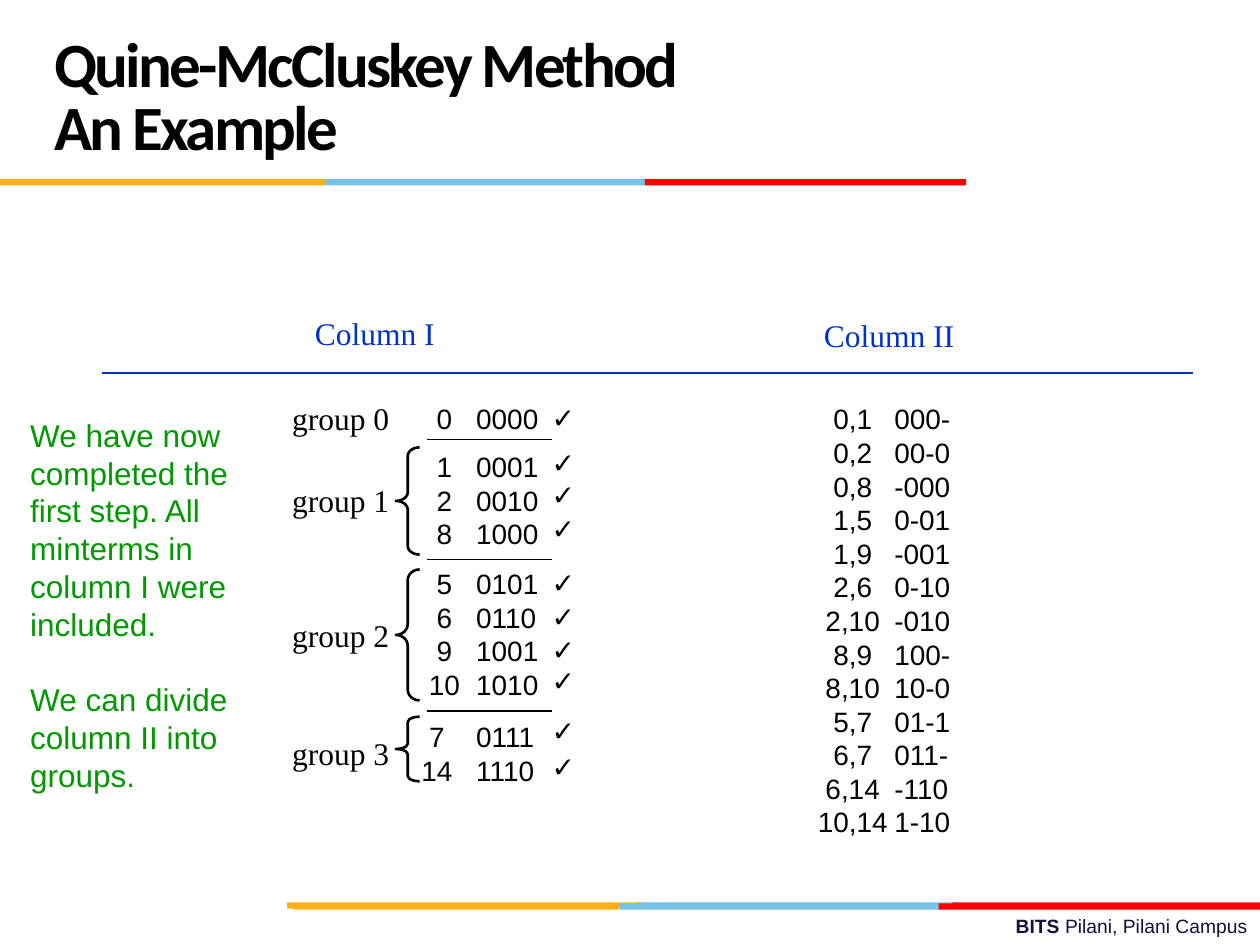
"""Build the Quine-McCluskey example slide with its minterm columns."""
from lxml.etree import SubElement as Sub
from pptx import Presentation
from pptx.dml.color import RGBColor as RGB
from pptx.enum.shapes import MSO_CONNECTOR as Conn, MSO_SHAPE as Shape
from pptx.enum.text import MSO_ANCHOR as Anchor, PP_ALIGN as Align
from pptx.oxml.ns import qn
from pptx.util import Cm, Pt

HUE = {
    "ink": "000000", "blue": "0033CC", "green": "009900", "navy": "101141",
    "gold": "FCB017", "sky": "76C2E5", "red": "FF0000", "brick": "E31C24",
}
SERIF = "Times New Roman"

deck = Presentation()
deck.slide_width, deck.slide_height = Cm(25.4), Cm(19.05)
slide = deck.slides.add_slide(deck.slide_layouts[6])
shapes = slide.shapes


def write(lines, box, size=16, font="Arial", hue="ink", bold=False, lead="", align=Align.LEFT,
          anchor=Anchor.TOP, wrap=False, stops=(), pitch=None, track=0, gaps=()):
    frame = shapes.add_textbox(*map(Cm, box)).text_frame
    frame.word_wrap = wrap
    frame.vertical_anchor = anchor
    for i, line in enumerate(lines):
        para = frame.paragraphs[0] if i == 0 else frame.add_paragraph()
        if stops:
            tabs = Sub(para._p.get_or_add_pPr(), qn("a:tabLst"))
            for kind, pos in zip(("ctr", "l"), stops):
                Sub(tabs, qn("a:tab"), pos=str(Cm(pos)), algn=kind)
        para.alignment = align
        para.line_spacing = Pt(pitch or size * 1.2)
        if i in gaps:
            para.space_before = Pt(size * 1.2)
        if lead:
            para.add_run().text = lead
            para.add_run().text = line
        else:
            para.text = line
        for run in para.runs:
            run.font.size, run.font.name = Pt(size), font
            run.font.bold = bold or run.text == lead
            run.font.color.rgb = RGB.from_string(HUE[hue])
            if track:
                run._r.get_or_add_rPr().set("spc", str(track))


write(["Pilani, Pilani Campus"], (9.09, 18.31, 16.31, 0.74), size=11, hue="navy",
      lead="BITS ", align=Align.RIGHT, wrap=True)

bars = [
    (12.85, 18.19, 6.48, "sky"), (19.2, 18.19, 6.2, "brick"), (5.79, 18.19, 7.16, "gold"),
    (12.5, 18.21, 6.48, "sky"), (5.92, 18.21, 6.55, "gold"), (18.92, 18.21, 6.48, "red"),
    (6.55, 3.61, 6.48, "sky"), (0, 3.61, 6.55, "gold"), (13, 3.61, 6.48, "red"),
]
for x, y, w, hue in bars:
    bar = shapes.add_shape(Shape.RECTANGLE, Cm(x), Cm(y), Cm(w), Cm(0.13))
    bar.shadow.inherit = False
    bar.fill.solid()
    bar.fill.fore_color.rgb = RGB.from_string(HUE[hue])
    bar.line.fill.background()

write(["Quine-McCluskey Method\vAn Example"], (0.84, 0.43, 17.58, 3.18), size=36,
      font="Calibri", bold=True, anchor=Anchor.MIDDLE, wrap=True, pitch=36, track=-150)

write(["Column I"], (6.1, 6.2, 2.92, 1.02), size=18, font=SERIF, hue="blue")
write(["Column II"], (16.36, 6.25, 3.15, 1.02), size=18, font=SERIF, hue="blue")

pairs = [
    ("0,1", "000-"), ("0,2", "00-0"), ("0,8", "-000"), ("1,5", "0-01"), ("1,9", "-001"),
    ("2,6", "0-10"), ("2,10", "-010"), ("8,9", "100-"), ("8,10", "10-0"), ("5,7", "01-1"),
    ("6,7", "011-"), ("6,14", "-110"), ("10,14", "1-10"),
]
write([f"\t{a}\t{b}" for a, b in pairs], (16.1, 7.98, 4, 9.09), wrap=True, stops=(0.84, 1.68))

groups = [
    (7.92, 7.98, 0.58, (0,)),
    (9.58, 8.94, 0.58, (1, 2, 8)),
    (12.29, 11.3, 0.58, (5, 6, 9, 10)),
    (14.68, 14.38, 0.43, (7, 14)),
]
for i, (mid, top, stop, terms) in enumerate(groups):
    write([f"group {i}"], (5.64, mid, 2.46, 1.02), size=18, font=SERIF, align=Align.CENTER)
    write([f"\t{n}\t{n:04b}" for n in terms], (8.13, top, 3, 0.26 + 0.68 * len(terms)),
          wrap=True, stops=(stop, 1.22))

rules = [(2.06, 24.05, 7.52, "blue")]
rules += [(8.61, 11.13, y, "ink") for y in (8.86, 11.28, 14.33)]
for x, end, y, hue in rules:
    rule = shapes.add_connector(Conn.STRAIGHT, Cm(x), Cm(y), Cm(end), Cm(y))
    rule.line.color.rgb = RGB.from_string(HUE[hue])
    rule.line.width = Pt(0.75)
    Sub(rule._element.spPr, qn("a:effectLst"))

for y, h, bend in [(9.02, 2.16, 0.36), (11.48, 2.64, 0.45), (14.45, 1.3, 0.22)]:
    brace = shapes.add_shape(Shape.LEFT_BRACE, Cm(7.98), Cm(y), Cm(0.48), Cm(h))
    brace.adjustments[0] = bend
    brace.shadow.inherit = False
    brace.fill.background()
    brace.line.color.rgb = RGB.from_string(HUE["ink"])
    brace.line.width = Pt(1.5)

for y in (7.95, 8.86, 9.5, 10.19, 11.28, 11.96, 12.62, 13.26, 14.25, 14.99):
    write(["✓"], (10.87, y, 1.02, 0.94))

notes = [
    "We have now", "completed the", "first step. All", "minterms in", "column I were", "included.",
    "We can divide", "column II into", "groups.",
]
write(notes, (0.36, 8.26, 4.5, 7.87), size=18, hue="green", gaps=(6,))

deck.save("out.pptx")
